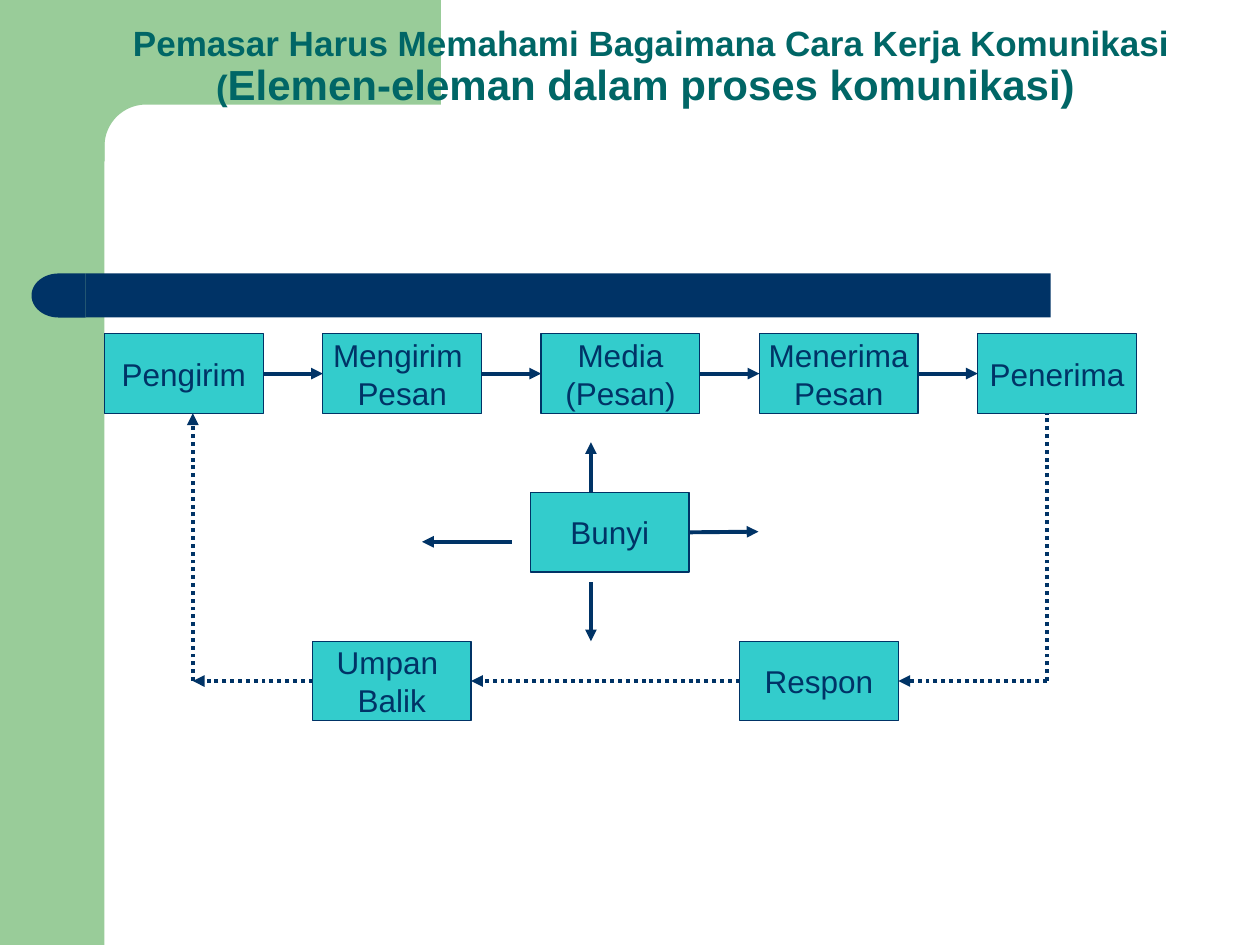
from math import cos, pi, sin

from lxml.etree import SubElement
from pptx import Presentation
from pptx.dml.color import RGBColor
from pptx.enum.dml import MSO_LINE
from pptx.enum.shapes import MSO_CONNECTOR, MSO_SHAPE
from pptx.enum.text import MSO_ANCHOR, MSO_AUTO_SIZE, PP_ALIGN
from pptx.oxml.ns import qn
from pptx.util import Inches, Pt

GREEN = RGBColor(0x99, 0xCC, 0x99)
NAVY = RGBColor(0x00, 0x33, 0x66)
TEAL = RGBColor(0x00, 0x66, 0x66)
TURQUOISE = RGBColor(0x33, 0xCC, 0xCC)
FONT = "Arial"

BOX_WIDTH, BOX_HEIGHT = Inches(1.26), Inches(0.63)
TOP, LEFT, BOTTOM, RIGHT = range(4)  # connection sites of a rectangle


def fill_plain(shape, color):
    shape.shadow.inherit = False
    shape.fill.solid()
    shape.fill.fore_color.rgb = color
    shape.line.fill.background()


def style_run(run, size, color, bold=False):
    run.font.name = FONT
    run.font.size = Pt(size)
    run.font.bold = bold
    run.font.color.rgb = color


def add_side_panel(slide, left, top, width, height):
    """Green side band, with a corner piece that is rounded on the inside."""
    band = slide.shapes.add_shape(MSO_SHAPE.RECTANGLE, left, top, width, height)
    fill_plain(band, GREEN)

    inner_x, inner_y = left + width, top + Inches(0.83)
    right, bottom = left + Inches(3.5), top + Inches(1.28)
    start_x = left + Inches(0.5)
    radius, steps = Inches(0.33), 24
    arc = [
        (inner_x + radius * (1 - sin(angle)), inner_y + radius * (1 - cos(angle)))
        for angle in (pi / 2 * step / steps for step in range(steps + 1))
    ]
    outline = slide.shapes.build_freeform(start_x, top)
    outline.add_line_segments(
        [(right, top), (right, inner_y), *arc, (inner_x, bottom), (start_x, bottom)]
    )
    fill_plain(outline.convert_to_shape(), GREEN)


def add_title_bar(slide, left, top, width, height):
    """Navy bar with a rounded left end."""
    cap_width = Inches(0.43)
    bar = slide.shapes.add_shape(
        MSO_SHAPE.RECTANGLE, left + cap_width, top, width - cap_width, height
    )
    cap = slide.shapes.add_shape(MSO_SHAPE.FLOWCHART_DELAY, left, top, cap_width, height)
    cap.rotation = 180
    for part in (bar, cap):
        fill_plain(part, NAVY)


def add_title(slide, left, top, width, height):
    title = slide.shapes.title
    title.element.getparent().append(title.element)  # in front of the panel
    title.left, title.top, title.width, title.height = left, top, width, height
    frame = title.text_frame
    frame.word_wrap = True
    frame.auto_size = MSO_AUTO_SIZE.NONE
    frame.vertical_anchor = MSO_ANCHOR.BOTTOM
    paragraph = frame.paragraphs[0]
    paragraph.alignment = PP_ALIGN.CENTER
    paragraph.line_spacing = 0.9

    def add_part(text, size):
        run = paragraph.add_run()
        run.text = text
        style_run(run, size, TEAL, bold=True)

    add_part("Pemasar Harus Memahami Bagaimana Cara Kerja Komunikasi", 20)
    paragraph.add_line_break()
    add_part("(", 20)
    add_part("Elemen-eleman dalam proses komunikasi) ", 24)


def add_step(slide, left, top, *lines):
    step = slide.shapes.add_shape(MSO_SHAPE.RECTANGLE, left, top, BOX_WIDTH, BOX_HEIGHT)
    fill_plain(step, TURQUOISE)
    step.line.color.rgb = NAVY
    step.line.width = Pt(0.75)
    frame = step.text_frame
    frame.word_wrap = False
    frame.vertical_anchor = MSO_ANCHOR.MIDDLE
    for index, text in enumerate(lines):
        paragraph = frame.add_paragraph() if index else frame.paragraphs[0]
        paragraph.alignment = PP_ALIGN.CENTER
        run = paragraph.add_run()
        run.text = text
        style_run(run, 18, NAVY)
    return step


def add_line(slide, start, end, dotted=False, arrow=True):
    """Each end is an (x, y) point or a (step, connection site) pair."""
    line = slide.shapes.add_connector(MSO_CONNECTOR.STRAIGHT, 0, 0, 0, 0)
    if hasattr(start[0], "text_frame"):
        line.begin_connect(*start)
    else:
        line.begin_x, line.begin_y = start
    if hasattr(end[0], "text_frame"):
        line.end_connect(*end)
    else:
        line.end_x, line.end_y = end
    line.line.color.rgb = NAVY
    line.line.width = Pt(2.25)
    if dotted:
        line.line.dash_style = MSO_LINE.ROUND_DOT
    properties = line.element.spPr
    if arrow:
        SubElement(properties.find(qn("a:ln")), qn("a:tailEnd"), type="triangle")
    SubElement(properties, qn("a:effectLst"))


def add_process(slide, left, top, width, height):
    """Message row on top, noise in the middle, feedback loop below."""

    def at(x, y):
        return left + Inches(x), top + Inches(y)

    row = [
        ("Pengirim",),
        ("Mengirim ", "Pesan"),
        ("Media", "(Pesan)"),
        ("Menerima", "Pesan"),
        ("Penerima",),
    ]
    pitch = (width - BOX_WIDTH) // (len(row) - 1)
    steps = [
        add_step(slide, left + index * pitch, top, *lines)
        for index, lines in enumerate(row)
    ]
    noise = add_step(slide, *at(3.38, 1.26), "Bunyi")
    feedback_top = top + height - BOX_HEIGHT
    response = add_step(slide, left + Inches(5.04), feedback_top, "Respon")
    feedback = add_step(slide, left + Inches(1.65), feedback_top, "Umpan ", "Balik")

    for sender, receiver in zip(steps, steps[1:]):
        add_line(slide, (sender, RIGHT), (receiver, LEFT))

    loop_y = feedback_top + BOX_HEIGHT // 2
    row_bottom = top + BOX_HEIGHT
    loop_left, loop_right = left + Inches(0.7), left + Inches(7.48)
    add_line(slide, (loop_right, loop_y), (loop_right, row_bottom), dotted=True, arrow=False)
    for start, end in [
        ((loop_right, loop_y), (response, RIGHT)),
        ((response, LEFT), (feedback, RIGHT)),
        ((feedback, LEFT), (loop_left, loop_y)),
        ((loop_left, loop_y), (loop_left, row_bottom)),
    ]:
        add_line(slide, start, end, dotted=True)

    for start, end in [
        ((noise, RIGHT), at(5.19, 1.57)),
        (at(3.23, 1.65), at(2.52, 1.65)),
        (at(3.86, 1.97), at(3.86, 2.44)),
        (at(3.86, 1.26), at(3.86, 0.86)),
    ]:
        add_line(slide, start, end)


def main():
    deck = Presentation()
    deck.slide_width, deck.slide_height = Inches(10), Inches(7.5)
    slide = deck.slides.add_slide(deck.slide_layouts[5])
    add_side_panel(slide, 0, 0, Inches(0.83), deck.slide_height)
    add_title_bar(slide, Inches(0.25), Inches(2.17), Inches(8.09), Inches(0.35))
    add_title(slide, Inches(0.9), Inches(0.12), Inches(8.54), Inches(0.8))
    add_process(slide, Inches(0.83), Inches(2.65), Inches(8.19), Inches(3.07))
    deck.save("out.pptx")


if __name__ == "__main__":
    main()
